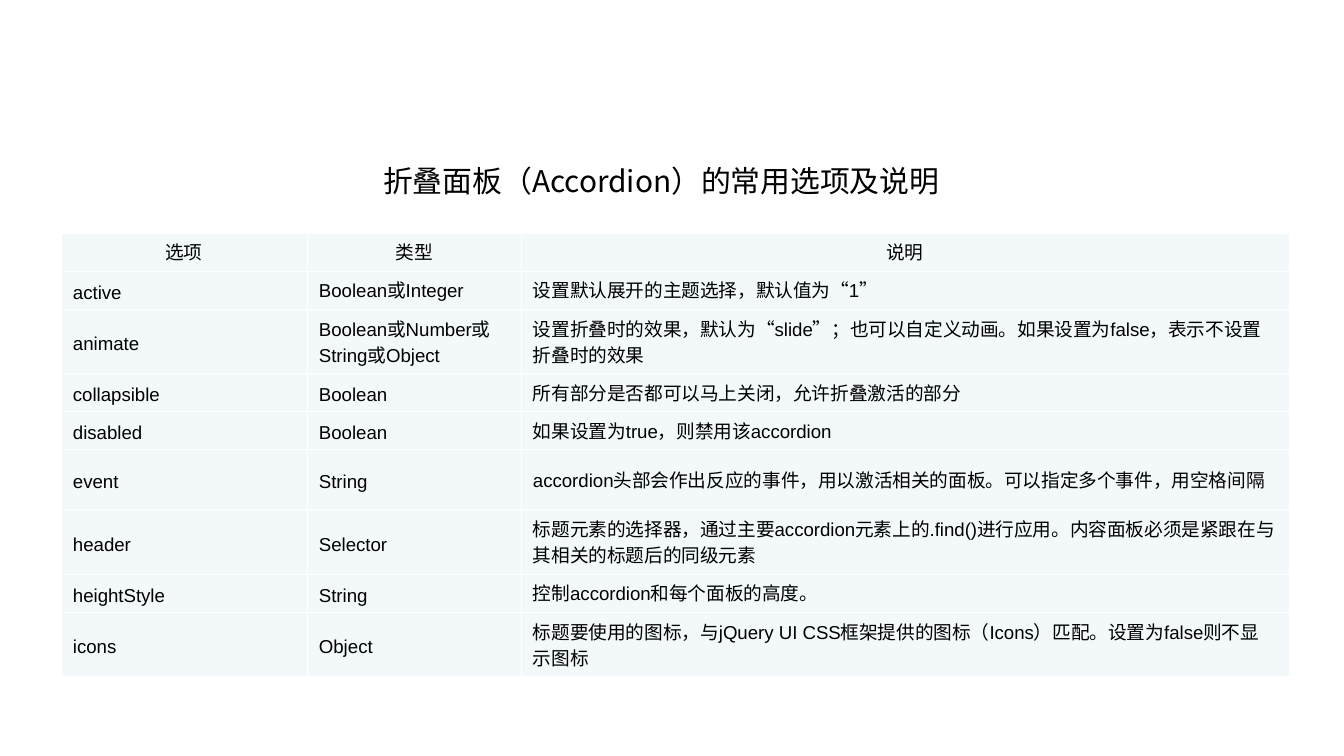
from lxml.etree import SubElement
from pptx import Presentation
from pptx.dml.color import RGBColor
from pptx.enum.text import MSO_ANCHOR, PP_ALIGN
from pptx.oxml.ns import qn
from pptx.util import Emu, Pt

PX_PER_INCH = 134.4
LATIN, CHINESE = "Arial", "Noto Sans CJK SC"
BLACK, WHITE, PALE_BLUE = "000000", "FFFFFF", "F3F9FA"

TITLE = "折叠面板（Accordion）的常用选项及说明"
HEADINGS = ("选项", "类型", "说明")
OPTIONS = [
    ("active", "Boolean或Integer", "设置默认展开的主题选择，默认值为“1”"),
    ("animate", "Boolean或Number或String或Object",
     "设置折叠时的效果，默认为“slide”；也可以自定义动画。如果设置为false，表示不设置折叠时的效果"),
    ("collapsible", "Boolean", "所有部分是否都可以马上关闭，允许折叠激活的部分"),
    ("disabled", "Boolean", "如果设置为true，则禁用该accordion"),
    ("event", "String",
     "accordion头部会作出反应的事件，用以激活相关的面板。可以指定多个事件，用空格间隔"),
    ("header", "Selector",
     "标题元素的选择器，通过主要accordion元素上的.find()进行应用。内容面板必须是紧跟在与其相关的标题后的同级元素"),
    ("heightStyle", "String", "控制accordion和每个面板的高度。"),
    ("icons", "Object",
     "标题要使用的图标，与jQuery UI CSS框架提供的图标（Icons）匹配。设置为false则不显示图标"),
]
COLUMN_WIDTHS = (246, 214, 768)
SINGLE_ROW, DOUBLE_ROW = 30, 60
DOUBLE_OPTIONS = {"animate", "event", "header", "icons"}


def px(length):
    return Emu(round(length * 914400 / PX_PER_INCH))


def color(hex_value):
    return RGBColor.from_string(hex_value)


def apply(target, values):
    for name, value in values.items():
        setattr(target, name, value)


def write(paragraph, text, size, latin):
    run = paragraph.add_run()
    run.text = text
    apply(run.font, {"size": Pt(size), "name": latin, "bold": False})
    run.font.color.rgb = color(BLACK)
    SubElement(run.font._element, qn("a:ea"), typeface=CHINESE)


def add_borders(cell):
    """Draw thin white lines on all four sides, ahead of the cell fill."""
    properties = cell._tc.get_or_add_tcPr()
    for side in ("lnL", "lnR", "lnT", "lnB"):
        line = SubElement(properties, qn(f"a:{side}"), w=str(Pt(0.45)))
        fill = SubElement(line, qn("a:solidFill"))
        SubElement(fill, qn("a:srgbClr"), val=WHITE)


def add_title(slide, left, top, width, height):
    frame = slide.shapes.add_textbox(px(left), px(top), px(width), px(height)).text_frame
    apply(frame, {"word_wrap": True, "vertical_anchor": MSO_ANCHOR.TOP})
    write(frame.paragraphs[0], TITLE, 16, CHINESE)


def fill_cell(cell, text, alignment):
    add_borders(cell)
    cell.fill.solid()
    cell.fill.fore_color.rgb = color(PALE_BLUE)
    apply(cell, {"vertical_anchor": MSO_ANCHOR.MIDDLE,
                 "margin_left": px(12), "margin_right": px(12),
                 "margin_top": px(6), "margin_bottom": px(6)})
    paragraph = cell.text_frame.paragraphs[0]
    apply(paragraph, {"alignment": alignment, "line_spacing": Pt(14)})
    write(paragraph, text, 10, LATIN)


def add_options_table(slide, left, top):
    rows = [HEADINGS, *OPTIONS]
    heights = [DOUBLE_ROW if row[0] in DOUBLE_OPTIONS else SINGLE_ROW for row in rows]
    table = slide.shapes.add_table(
        len(rows), len(HEADINGS), px(left), px(top),
        px(sum(COLUMN_WIDTHS)), px(sum(heights))).table
    apply(table, {"first_row": False, "horz_banding": False})
    for column, width in zip(table.columns, COLUMN_WIDTHS):
        column.width = px(width)
    for index, (row, height) in enumerate(zip(rows, heights)):
        table.rows[index].height = px(height)
        alignment = PP_ALIGN.LEFT if index else PP_ALIGN.CENTER
        for cell, text in zip(table.rows[index].cells, row):
            fill_cell(cell, text, alignment)


def main():
    presentation = Presentation()
    apply(presentation, {"slide_width": px(1344), "slide_height": px(756)})
    slide = presentation.slides.add_slide(presentation.slide_layouts[6])
    add_options_table(slide, 61, 233)
    add_title(slide, 370, 156, 668, 86)
    presentation.save("out.pptx")


if __name__ == "__main__":
    main()
